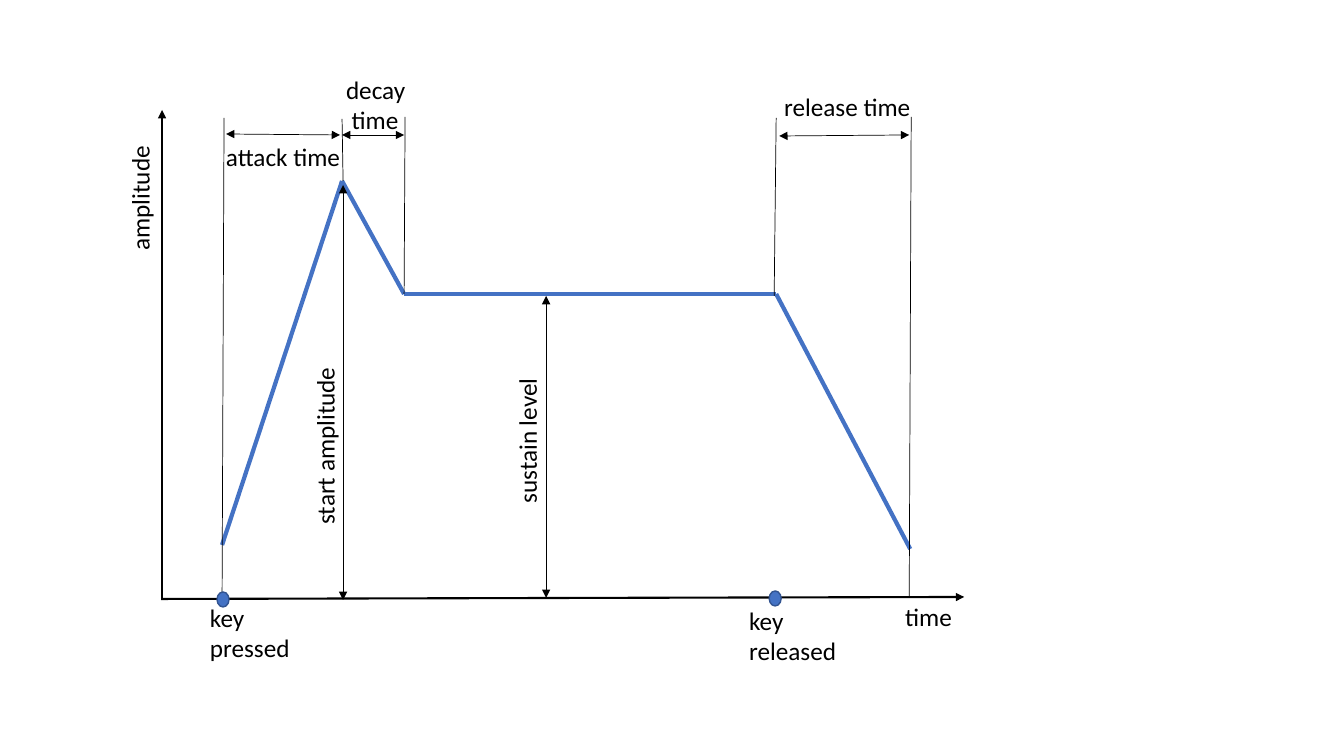
"""Build a slide that explains the amplitude envelope of a played key."""
from dataclasses import dataclass
from itertools import pairwise

from lxml import etree
from pptx import Presentation
from pptx.dml.color import RGBColor
from pptx.enum.shapes import MSO_CONNECTOR, MSO_SHAPE
from pptx.enum.text import MSO_AUTO_SIZE
from pptx.oxml.ns import qn
from pptx.util import Inches, Pt

STRAIGHT = MSO_CONNECTOR.STRAIGHT
OVAL = MSO_SHAPE.OVAL
FIT_SHAPE = MSO_AUTO_SIZE.SHAPE_TO_FIT_TEXT
PIXELS_PER_INCH = 100.8


@dataclass(frozen=True)
class Theme:
    """Hold the font, colours, and sizes in points."""
    font: str = "Calibri"
    text_size: float = 18
    black: str = "000000"
    blue: str = "4472C4"
    dark_blue: str = "325491"
    axis_width: float = 1.5
    envelope_width: float = 3
    thin_width: float = 0.5
    dot_width: float = 1


THEME = Theme()

AXES = [((162, 599), (162, 110)), ((161, 599), (964, 597))]
ENVELOPE = [(222, 545), (342, 181), (404, 294), (776, 294), (910, 549)]
GUIDES = [
    ((222, 600), (224, 118)),
    ((343, 181), (342, 119)),
    ((404, 294), (405, 117)),
    ((774, 296), (776, 118)),
    ((909, 598), (911, 117)),
]
MEASURES = [
    ((546, 296), (546, 598)),
    ((342, 135), (404, 135)),
    ((226, 134), (340, 135)),
    ((779, 136), (909, 135)),
    ((343, 185), (343, 600)),
]
KEY_DOTS = [(217, 592), (769, 591)]
DOT_SIZE = (12, 15)
LEVEL_LABELS = [
    ("time", (895, 596, 163, 40)),
    ("attack time", (216, 136, 163, 40)),
    ("release time", (774, 86, 163, 40)),
    ("key \npressed", (200, 597, 117, 72)),
    ("key \nreleased", (739, 600, 117, 72)),
]
UPRIGHT_LABELS = [
    ("amplitude", (-4, 97, 287, 40)),
    ("sustain level", (445, 412, 163, 40)),
    ("start amplitude", (222, 412, 205, 40)),
]
DECAY_LABEL = ("decay\n time", (336, 69, 81, 72))


def pixels(*lengths):
    """Turn pixel lengths into EMU."""
    return [Inches(length / PIXELS_PER_INCH) for length in lengths]


def add_line(slide, start, end, color, width, arrowheads=()):
    """Add a straight line with triangles at the named ends."""
    line = slide.shapes.add_connector(STRAIGHT, *pixels(*start, *end))
    line.line.color.rgb = RGBColor.from_string(color)
    line.line.width = Pt(width)
    outline = line.line._get_or_add_ln()
    for arrowhead in arrowheads:
        etree.SubElement(outline, qn(f"a:{arrowhead}"), type="triangle")
    etree.SubElement(line._element.spPr, qn("a:effectLst"))


def add_label(slide, text, box, rotation=0, wrap=True):
    """Add a text label, one paragraph for each line of text."""
    label = slide.shapes.add_textbox(*pixels(*box))
    label.rotation = rotation
    frame = label.text_frame
    frame.word_wrap = wrap
    frame.auto_size = FIT_SHAPE
    frame.text = text
    for paragraph in frame.paragraphs:
        paragraph.font.name = THEME.font
        paragraph.font.size = Pt(THEME.text_size)
        paragraph.font.color.rgb = RGBColor.from_string(THEME.black)


def add_key_dot(slide, corner):
    """Add a dot that marks a key event on the time axis."""
    dot = slide.shapes.add_shape(OVAL, *pixels(*corner, *DOT_SIZE))
    dot.shadow.inherit = False
    dot.fill.solid()
    dot.fill.fore_color.rgb = RGBColor.from_string(THEME.blue)
    dot.line.color.rgb = RGBColor.from_string(THEME.dark_blue)
    dot.line.width = Pt(THEME.dot_width)


def main():
    """Build and save the presentation."""
    presentation = Presentation()
    presentation.slide_width = Inches(13.33)
    presentation.slide_height = Inches(7.5)
    slide = presentation.slides.add_slide(presentation.slide_layouts[6])

    for start, end in AXES:
        add_line(slide, start, end, THEME.black, THEME.axis_width, ["tailEnd"])
    for start, end in pairwise(ENVELOPE):
        add_line(slide, start, end, THEME.blue, THEME.envelope_width)
    for start, end in GUIDES:
        add_line(slide, start, end, THEME.black, THEME.thin_width)
    for start, end in MEASURES:
        add_line(slide, start, end, THEME.black, THEME.thin_width, ["headEnd", "tailEnd"])
    for corner in KEY_DOTS:
        add_key_dot(slide, corner)
    for text, box in LEVEL_LABELS:
        add_label(slide, text, box)
    for text, box in UPRIGHT_LABELS:
        add_label(slide, text, box, rotation=270)
    add_label(slide, *DECAY_LABEL, wrap=False)

    presentation.save("out.pptx")


main()
